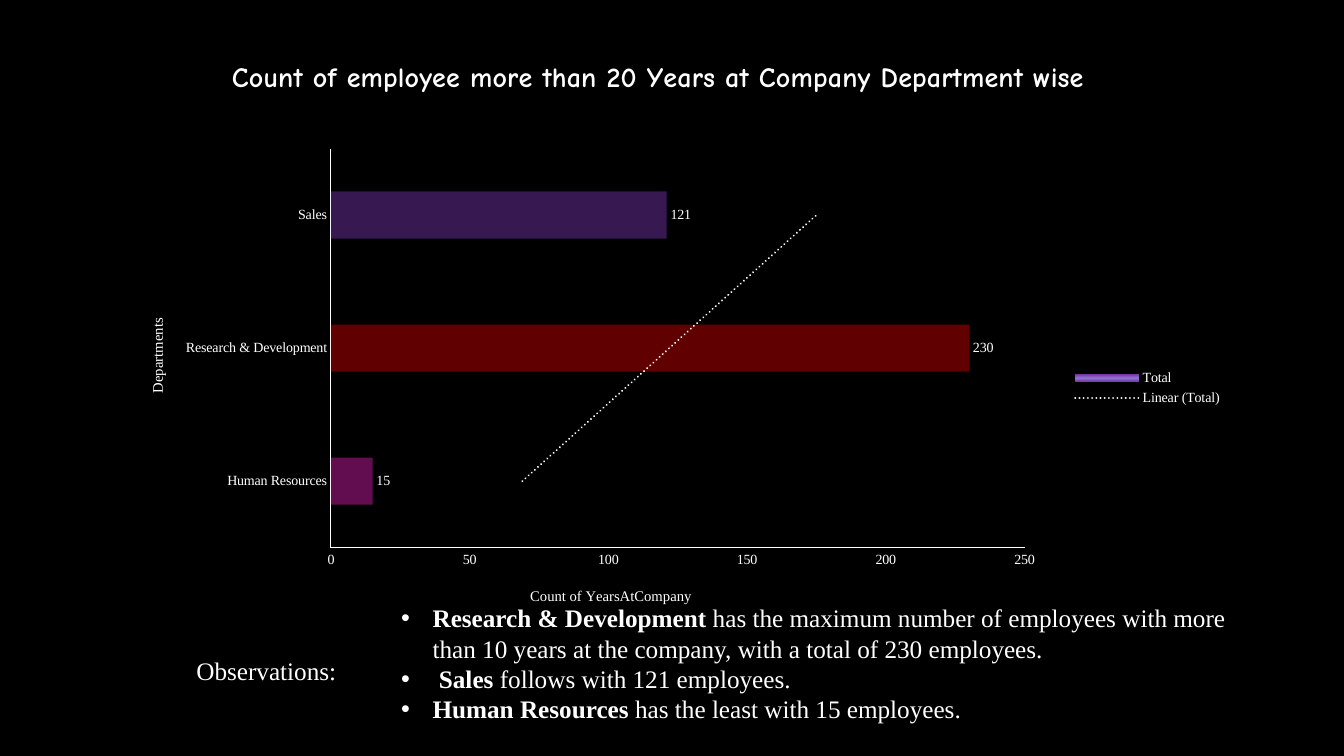
from pptx import Presentation
from pptx.chart.data import CategoryChartData
from pptx.dml.color import RGBColor
from pptx.enum.chart import XL_CHART_TYPE, XL_LABEL_POSITION, XL_LEGEND_POSITION, XL_TICK_MARK
from pptx.oxml import parse_xml
from pptx.oxml.ns import nsdecls, qn
from pptx.util import Pt

BAR = XL_CHART_TYPE.BAR_CLUSTERED
OUTSIDE_END = XL_LABEL_POSITION.OUTSIDE_END
LEGEND_RIGHT = XL_LEGEND_POSITION.RIGHT
NO_TICK = XL_TICK_MARK.NONE

SERIF, HAND = "Times New Roman", "Comic Neue"
WHITE, BLACK = "FFFFFF", "000000"

TITLE = "Count of employee more than 20 Years at Company Department wise"
CATEGORY_TITLE, VALUE_TITLE = "Departments", "Count of YearsAtCompany"
SERIES_NAME = "Total"
DEPARTMENTS = [
    ("Human Resources", 15, "C71BA2"),
    ("Research & Development", 230, "C00000"),
    ("Sales", 121, "7030A0"),
]
SERIES_GRADIENT = [(0, "7030A0"), (50, "9270D6"), (100, "7030A0")]
OBSERVATIONS_LABEL = [[("Observations:", False)]]
OBSERVATIONS = [
    [("Research & Development", True),
     (" has the maximum number of employees with more than 10 years at the company, "
      "with a total of 230 employees.", False)],
    [(" ", False), ("Sales", True), (" follows with 121 employees.", False)],
    [("Human Resources", True), (" has the least with 15 employees.", False)],
]

# Left, top, width, height in points
CHART_BOX = (54.7, 18, 825.8, 518.4)
LABEL_BOX = (133.2, 464.4, 146.2, 29)
OBSERVATIONS_BOX = (279.4, 427, 618.5, 94.3)


def color(code):
    return RGBColor.from_string(code)


def style(font, size=10, name=SERIF, bold=False):
    font.size, font.name, font.bold = Pt(size), name, bold
    font.color.rgb = color(WHITE)


def add_text(page, place, paragraphs, size=18, bullet_indent=0):
    box = page.shapes.add_textbox(*map(Pt, place))
    frame = box.text_frame
    frame.word_wrap = True
    for index, spans in enumerate(paragraphs):
        para = frame.add_paragraph() if index else frame.paragraphs[0]
        if bullet_indent:
            properties = para._p.get_or_add_pPr()
            properties.set("marL", str(Pt(bullet_indent)))
            properties.set("indent", str(-Pt(bullet_indent)))
            properties.append(parse_xml(f'<a:buFont {nsdecls("a")} typeface="Arial"/>'))
            properties.append(parse_xml(f'<a:buChar {nsdecls("a")} char="•"/>'))
        for text, bold in spans:
            span = para.add_run()
            span.text = text
            style(span.font, size, bold=bold)


def set_layout(element, position, **fractions):
    """Fix a chart part at fractions of the chart area."""
    old = element.find(qn("c:layout"))
    if old is not None:
        element.remove(old)
    modes = '<c:layoutTarget val="inner"/>' if "w" in fractions else ""
    modes += '<c:xMode val="edge"/><c:yMode val="edge"/>'
    values = "".join(f'<c:{key} val="{value}"/>' for key, value in fractions.items())
    element.insert(position, parse_xml(
        f'<c:layout {nsdecls("c")}><c:manualLayout>{modes}{values}</c:manualLayout></c:layout>'))


def set_title(title, text, x, y, rotation=0, **font):
    frame = title.text_frame
    frame.text = text
    style(frame.paragraphs[0].runs[0].font, **font)
    frame._txBody.bodyPr.set("rot", str(rotation * 60000))
    set_layout(title._element, 1, x=x, y=y)


def style_axis(axis):
    axis.has_major_gridlines = False
    axis.major_tick_mark = axis.minor_tick_mark = NO_TICK
    axis.format.line.color.rgb = color(WHITE)
    axis.format.line.width = Pt(0.75)
    style(axis.tick_labels.font)


def style_series(series):
    stops = "".join(f'<a:gs pos="{stop * 1000}"><a:srgbClr val="{code}"/></a:gs>'
                    for stop, code in SERIES_GRADIENT)
    series._element.get_or_add_spPr().append(parse_xml(
        f'<a:gradFill {nsdecls("a")}><a:gsLst>{stops}</a:gsLst>'
        '<a:lin ang="5400000" scaled="0"/></a:gradFill>'))
    for index, (_, _, code) in enumerate(DEPARTMENTS):
        fill = series.points[index].format.fill
        fill.solid()
        fill.fore_color.rgb = color(code)
        for tint in series.points[index]._element.findall(
                f'{qn("c:dPt")}[{index + 1}]//{qn("a:srgbClr")}'):
            tint.append(parse_xml(f'<a:alpha {nsdecls("a")} val="50000"/>'))
    labels = series.data_labels
    labels.show_value = True
    labels.position = OUTSIDE_END
    style(labels.font)
    series._element.find(qn("c:cat")).addprevious(parse_xml(
        f'<c:trendline {nsdecls("c", "a")}><c:spPr><a:ln w="{Pt(1.5)}" cap="rnd">'
        f'<a:solidFill><a:srgbClr val="{WHITE}"/></a:solidFill><a:prstDash val="sysDot"/></a:ln>'
        '</c:spPr><c:trendlineType val="linear"/><c:dispRSqr val="0"/><c:dispEq val="0"/>'
        '</c:trendline>'))


def add_department_chart(page):
    data = CategoryChartData()
    data.categories = [name for name, _, _ in DEPARTMENTS]
    data.add_series(SERIES_NAME, [count for _, count, _ in DEPARTMENTS])
    chart = page.shapes.add_chart(BAR, *map(Pt, CHART_BOX), data).chart
    style(chart.font)
    plot = chart.plots[0]
    plot.gap_width = 182
    plot.vary_by_categories = False
    style_series(plot.series[0])
    style_axis(chart.category_axis)
    style_axis(chart.value_axis)
    chart.value_axis.minimum_scale, chart.value_axis.maximum_scale = 0, 250
    chart.value_axis.major_unit = 50
    set_title(chart.chart_title, TITLE, 0.13, 0.04, size=20, name=HAND, bold=True)
    set_title(chart.category_axis.axis_title, CATEGORY_TITLE, 0.06, 0.4, rotation=-90, size=10.5)
    set_title(chart.value_axis.axis_title, VALUE_TITLE, 0.39, 0.77, size=10.5)
    chart.has_legend = True
    chart.legend.position = LEGEND_RIGHT
    chart.legend.include_in_layout = False
    style(chart.legend.font)
    set_layout(chart._chartSpace.chart.plotArea, 0, x=0.22, y=0.17, w=0.6, h=0.55)


def main():
    deck = Presentation()
    deck.slide_width, deck.slide_height = Pt(960), Pt(540)
    page = deck.slides.add_slide(deck.slide_layouts[6])
    page.background.fill.solid()
    page.background.fill.fore_color.rgb = color(BLACK)
    add_department_chart(page)
    add_text(page, OBSERVATIONS_BOX, OBSERVATIONS, bullet_indent=22.5)
    add_text(page, LABEL_BOX, OBSERVATIONS_LABEL)
    deck.save("out.pptx")


if __name__ == "__main__":
    main()
